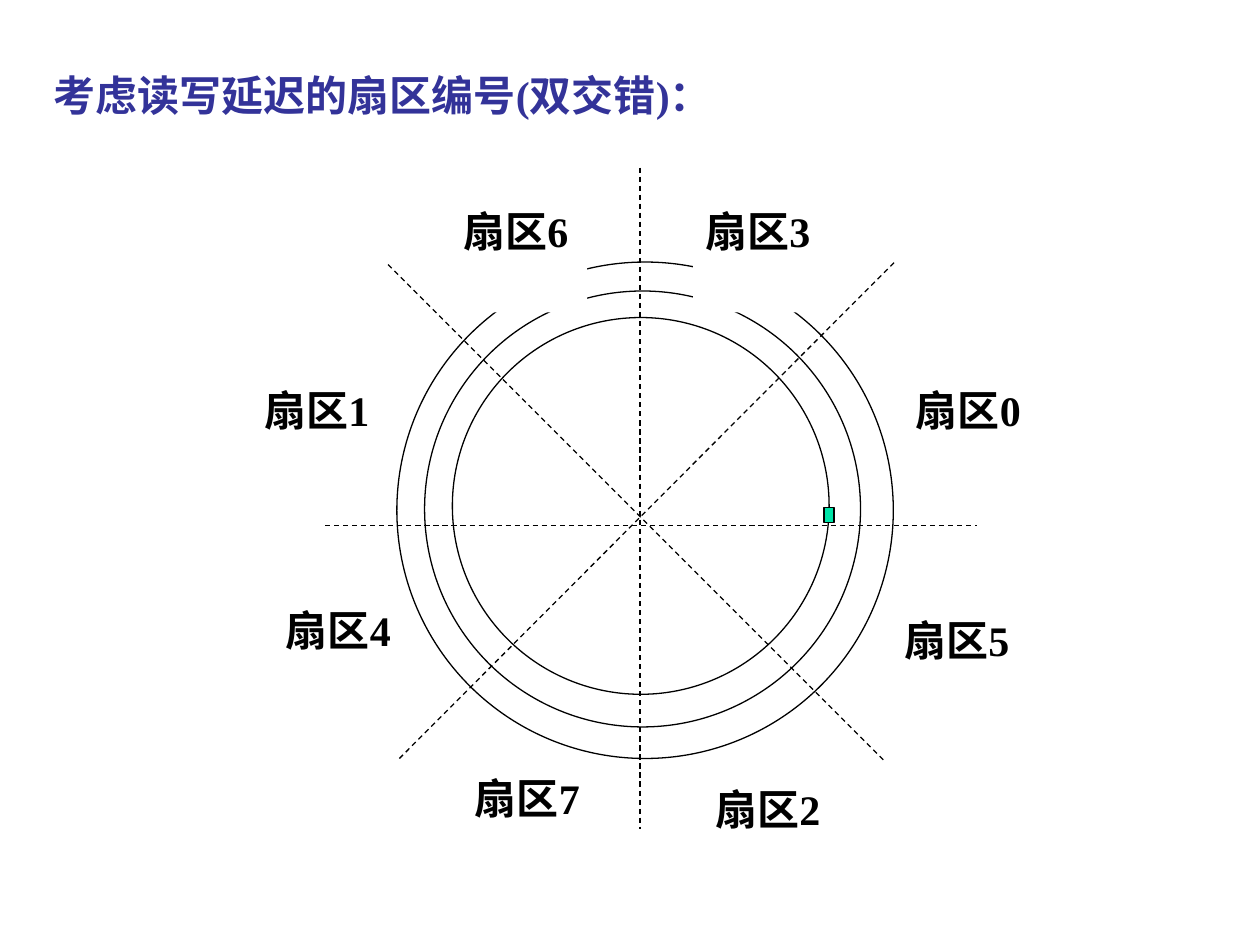
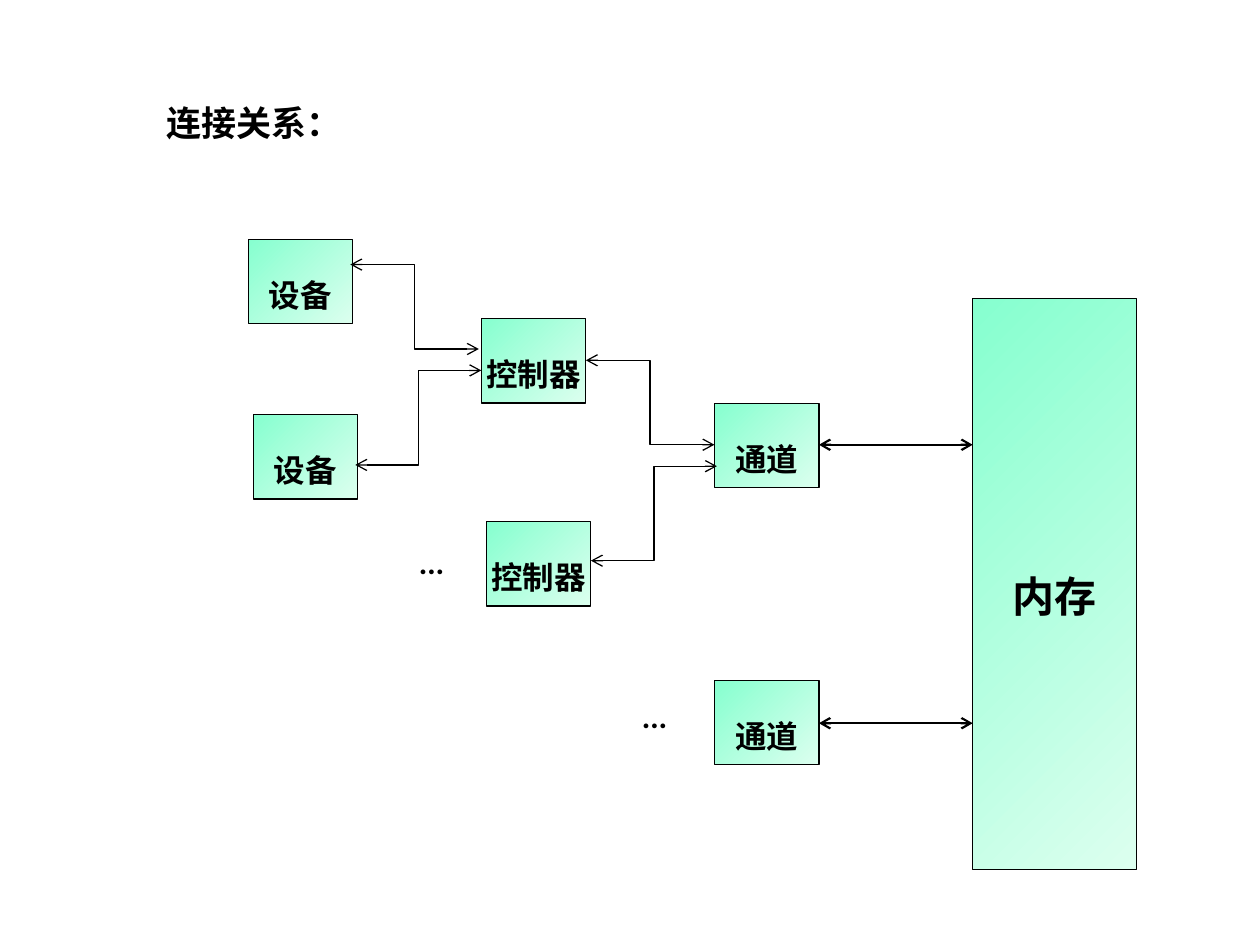
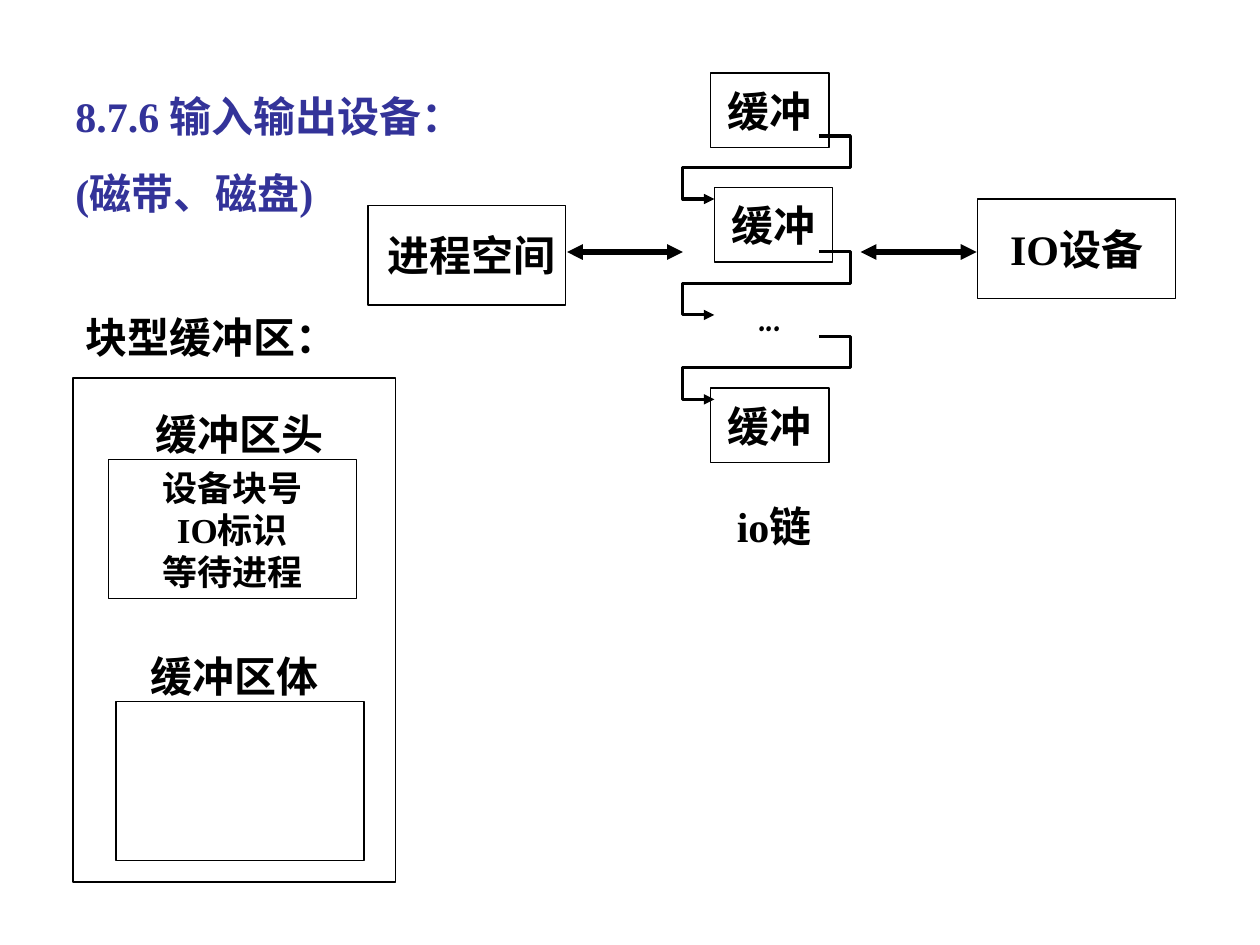
from lxml import etree
from pptx import Presentation
from pptx.dml.color import RGBColor
from pptx.enum import dml, shapes, text
from pptx.enum.lang import MSO_LANGUAGE_ID
from pptx.oxml.ns import qn
from pptx.util import Inches, Pt

COLORS = {
    "ink": "000000",
    "title": "333399",
    "paper": "FFFFFF",
    "mint": "86FFCF",
    "pale": "DCFFEF",
    "head": "00E4A8",
}
SERIF, SANS, COMIC = "Times New Roman", "Lato", "Comic Neue"
RECT, OVAL = shapes.MSO_SHAPE.RECTANGLE, shapes.MSO_SHAPE.OVAL
STRAIGHT, ELBOW = shapes.MSO_CONNECTOR.STRAIGHT, shapes.MSO_CONNECTOR.ELBOW
CENTER = text.PP_ALIGN.CENTER
TOP, MIDDLE = text.MSO_ANCHOR.TOP, text.MSO_ANCHOR.MIDDLE


def rgb(name):
    return RGBColor.from_string(COLORS[name])


# Shared text and shape helpers
def write(shape, words, size=24, font=SERIF, color="ink", align=None,
          anchor=TOP, wrap=True, side=0.1, top=0.05, before=0, lead=()):
    """Fill a shape with one paragraph per line; lead gives line spacings."""
    frame = shape.text_frame
    frame.word_wrap = wrap
    frame.vertical_anchor = anchor
    frame.margin_left = frame.margin_right = Inches(side)
    frame.margin_top, frame.margin_bottom = Inches(top), Inches(0.05)
    for i, line in enumerate(words.split("\n")):
        para = frame.paragraphs[0] if i == 0 else frame.add_paragraph()
        para.alignment = align or text.PP_ALIGN.LEFT
        if i and before:
            para.space_before = Pt(before)
        if i < len(lead):
            para.line_spacing = lead[i]
        run = para.add_run()
        run.text = line
        style = run.font
        style.size, style.bold, style.name = Pt(size), True, font
        style.color.rgb = rgb(color)
        style.language_id = MSO_LANGUAGE_ID.SIMPLIFIED_CHINESE
        etree.SubElement(run._r.rPr, qn("a:ea"), typeface=SANS)
    return shape


def label(slide, box, words, **form):
    return write(slide.shapes.add_textbox(*map(Inches, box)), words, **form)


def block(slide, box, kind=RECT, fill="paper", line=True):
    shape = slide.shapes.add_shape(kind, *map(Inches, box))
    shape.shadow.inherit = False
    if fill == "blend":
        shape.fill.gradient()
        shape.fill.gradient_angle = 315
        for stop, name in zip(shape.fill.gradient_stops, ("mint", "pale")):
            stop.color.rgb = rgb(name)
    else:
        shape.fill.solid()
        shape.fill.fore_color.rgb = rgb(fill)
    if line:
        pen(shape)
    else:
        shape.line.fill.background()
    return shape


def pen(shape, width=0.75, head=None, tail=None):
    shape.line.color.rgb = rgb("ink")
    shape.line.width = Pt(width)
    for tag, end in (("a:headEnd", head), ("a:tailEnd", tail)):
        if end:
            etree.SubElement(shape.line._get_or_add_ln(), qn(tag), type=end)


def link(slide, ends, kind=STRAIGHT, width=0.75, tip=None, dash=False):
    wire = slide.shapes.add_connector(kind, *map(Inches, ends))
    if dash:
        wire.line.dash_style = dml.MSO_LINE.DASH
    pen(wire, width, tip, tip)
    etree.SubElement(wire._element.spPr, qn("a:effectLst"))
    return wire


def move(box, part):
    """Shift a part's left and top, given inside a box, onto the slide."""
    return (box[0] + part[0], box[1] + part[1]) + tuple(part[2:])


def span(box, ends):
    """Shift both ends of a line, given inside a box, onto the slide."""
    return move(box, ends[:2]) + move(box, ends[2:])


# Slide 1: interleaved sectors
def disk(slide, box):
    # Tracks
    for x, y, size in ((1.15, 0.75, 3.94), (1.37, 0.98, 3.46), (1.59, 1.19, 2.99)):
        block(slide, move(box, (x, y, size, size)), OVAL)
    # Sector borders
    for ends in ((1.08, 0.77, 5.02, 4.71), (1.17, 4.69, 5.1, 0.75),
                 (3.08, 0, 3.08, 5.25), (0.58, 2.84, 5.75, 2.84)):
        link(slide, span(box, ends), dash=True)
    # Sector numbers, clockwise from the right
    spots = {0: (5.17, 1.67), 5: (5.08, 3.5), 2: (3.58, 4.84), 7: (1.67, 4.75),
             4: (0.17, 3.42), 1: (0, 1.67), 6: (1.58, 0.25), 3: (3.5, 0.25)}
    for num, spot in spots.items():
        tag = block(slide, move(box, spot + (1.08, 0.9)), line=False)
        write(tag, f"扇区{num}")
    # Read head
    block(slide, move(box, (4.54, 2.7, 0.08, 0.12)), fill="head")


def sectors(slide):
    disk(slide, (2, 1.33))
    label(slide, (0.33, 0.5, 8.67, 0.5), "考虑读写延迟的扇区编号(双交错)：",
          color="title")


# Slide 2: devices, controllers, channels and memory
def tree(slide, box):
    # Units
    units = (("通道", 3.7, 1.3), ("通道", 3.7, 3.5), ("控制器", 1.85, 0.63),
             ("控制器", 1.89, 2.24), ("设备", 0, 0), ("设备", 0.04, 1.39))
    for name, x, y in units:
        unit = block(slide, move(box, (x, y, 0.83, 0.67)), fill="blend")
        write(unit, name, size=18, font=SANS, align=CENTER, wrap=False, lead=[1.8])
    # Memory
    store = block(slide, move(box, (5.75, 0.47, 1.3, 4.53)), fill="blend")
    write(store, "内存", font=SANS, align=CENTER, anchor=MIDDLE, wrap=False, top=0.23)
    # Channel to memory
    for y in (1.63, 3.84):
        link(slide, span(box, (4.53, y, 5.75, y)), width=1.25, tip="arrow")
    # Pairs of bent links, one pair for each level
    for step in ((0, 0), (1.87, 0.76)):
        pair = move(box, step)
        for ends in ((0.81, 0.2, 1.83, 0.87), (0.85, 1.79, 1.85, 1.04)):
            link(slide, span(pair, ends), ELBOW, tip="arrow")
    # Further units
    for spot in ((1.26, 2.36), (3.03, 3.58)):
        label(slide, move(box, spot + (0.55, 0.4)), "…", size=18, font=SANS)


def wiring(slide):
    label(slide, (1.22, 0.76, 3.05, 0.44), "连接关系：", size=20, font=SANS)
    tree(slide, (1.97, 1.9))


# Slide 3: buffers
def store(slide, box):
    frame = block(slide, move(box, (0, 0.58, 2.56, 4)))
    write(frame, " 缓冲区头\n缓冲区体", align=CENTER, wrap=False, top=0.24,
          before=115, lead=(1, 0.8))
    head = block(slide, move(box, (0.28, 1.23, 1.97, 1.1)))
    write(head, "设备块号\nIO标识\n等待进程", size=20, align=CENTER,
          anchor=MIDDLE, wrap=False)
    block(slide, move(box, (0.34, 3.15, 1.97, 1.26)))
    label(slide, move(box, (0, 0, 2.25, 0.5)), "块型缓冲区：")


def hook(slide, box):
    """Draw the arrow that leads from one buffer to the next."""
    turns = ((1.08, 0), (1.33, 0), (1.33, 0.25), (0, 0.25), (0, 0.5), (0.25, 0.5))
    spots = [tuple(map(Inches, move(box, turn))) for turn in turns]
    draft = slide.shapes.build_freeform(*spots[0])
    draft.add_line_segments(spots[1:], close=False)
    wire = draft.convert_to_shape()
    wire.shadow.inherit = False
    wire.fill.background()
    pen(wire, 1.75, tail="triangle")


def chain(slide, box):
    # Ends and buffers
    cells = ((" 进程空间", 0, 1.05, 1.57, 0.79), ("IO设备", 4.84, 1, 1.57, 0.79),
             ("缓冲", 2.72, 0, 0.94, 0.59), ("缓冲", 2.75, 0.91, 0.94, 0.59),
             ("缓冲", 2.72, 2.5, 0.94, 0.59))
    for name, *part in cells:
        write(block(slide, move(box, part)), name, align=CENTER,
              anchor=MIDDLE, wrap=False, side=0.06)
    # Transfers
    for x in (1.58, 3.91):
        link(slide, span(box, (x, 1.42, x + 0.92, 1.42)), width=3, tip="triangle")
    # Links between buffers
    for y in (0.5, 1.42, 2.09):
        hook(slide, move(box, (2.5, y)))
    label(slide, move(box, (3, 1.67, 0.58, 0.5)), "...", font=COMIC)
    label(slide, move(box, (2.83, 3.34, 1, 0.5)), "io链")


def buffers(slide):
    label(slide, (0.5, 0.67, 4, 1.11), "8.7.6 输入输出设备：\n(磁带、磁盘)",
          color="title", before=15)
    store(slide, (0.58, 2.42))
    chain(slide, (2.92, 0.58))


def main():
    deck = Presentation()
    deck.slide_width, deck.slide_height = Inches(10), Inches(7.5)
    for build in (sectors, wiring, buffers):
        build(deck.slides.add_slide(deck.slide_layouts[6]))
    deck.save("out.pptx")


if __name__ == "__main__":
    main()
